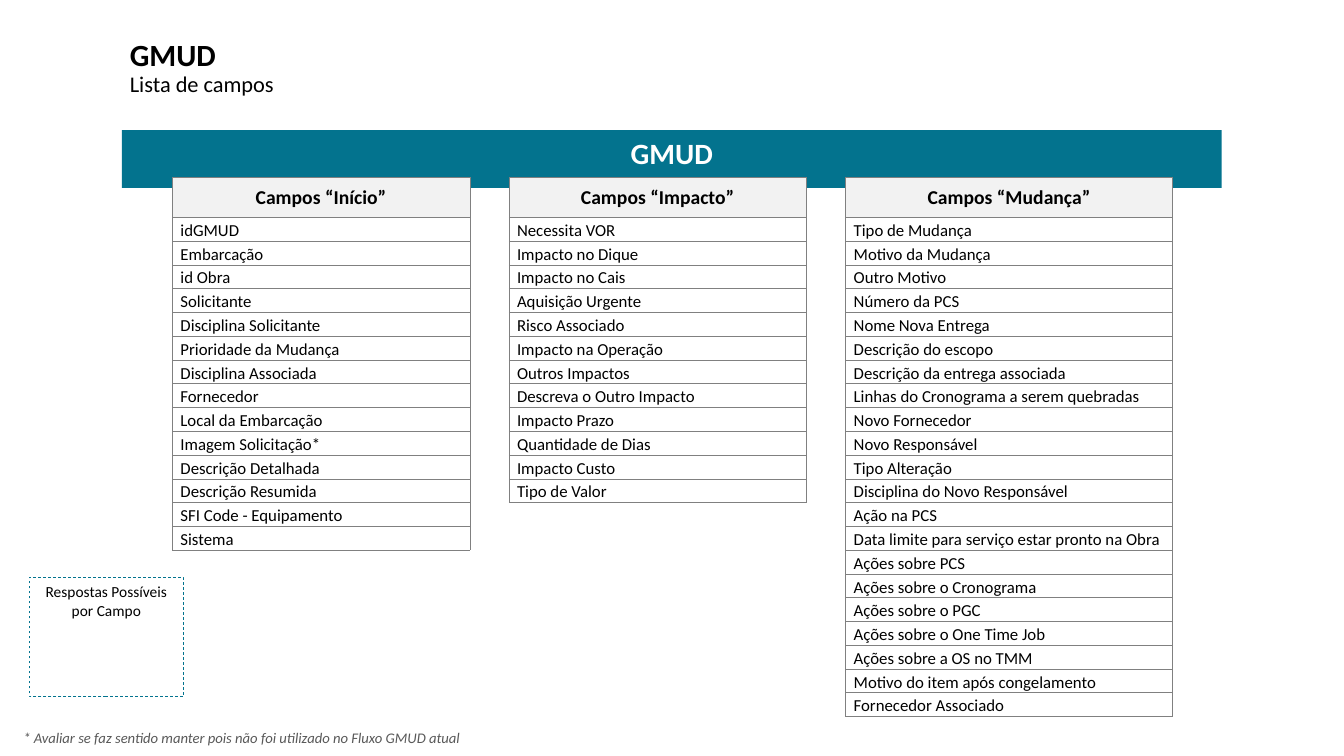
import pptx
import pptx.util
import pptx.dml.color
import pptx.enum.dml
import pptx.enum.shapes
import pptx.enum.text
import pptx.oxml

Pt = pptx.util.Pt
ALIGN = pptx.enum.text.PP_ALIGN
ANCHOR = pptx.enum.text.MSO_ANCHOR
RECT = pptx.enum.shapes.MSO_SHAPE.RECTANGLE

COLORS = {
    "teal": "03738E",
    "head": "F2F2F2",
    "rule": "808080",
    "note": "595959",
    "black": "000000",
    "white": "FFFFFF",
}
FONT = "Calibri"
HEAD_H, ROW_H = 28.35, 17
LEFT, TOP, STEP = 123.1, 126.8, 240.45

GROUPS = [
    ("Campos “Início”", 212.5, [
        "idGMUD", "Embarcação", "id Obra", "Solicitante",
        "Disciplina Solicitante", "Prioridade da Mudança",
        "Disciplina Associada", "Fornecedor", "Local da Embarcação",
        "Imagem Solicitação*", "Descrição Detalhada", "Descrição Resumida",
        "SFI Code - Equipamento", "Sistema",
    ]),
    ("Campos “Impacto”", 212.5, [
        "Necessita VOR", "Impacto no Dique", "Impacto no Cais",
        "Aquisição Urgente", "Risco Associado", "Impacto na Operação",
        "Outros Impactos", "Descreva o Outro Impacto", "Impacto Prazo",
        "Quantidade de Dias", "Impacto Custo", "Tipo de Valor",
    ]),
    ("Campos “Mudança”", 233.5, [
        "Tipo de Mudança", "Motivo da Mudança", "Outro Motivo",
        "Número da PCS", "Nome Nova Entrega", "Descrição do escopo",
        "Descrição da entrega associada",
        "Linhas do Cronograma a serem quebradas", "Novo Fornecedor",
        "Novo Responsável", "Tipo Alteração",
        "Disciplina do Novo Responsável", "Ação na PCS",
        "Data limite para serviço estar pronto na Obra", "Ações sobre PCS",
        "Ações sobre o Cronograma", "Ações sobre o PGC",
        "Ações sobre o One Time Job", "Ações sobre a OS no TMM",
        "Motivo do item após congelamento", "Fornecedor Associado",
    ]),
]


def color(name):
    return pptx.dml.color.RGBColor.from_string(COLORS[name])


def style(run, size, tone="black", bold=False, italic=False):
    font = run.font
    font.name, font.size = FONT, Pt(size)
    font.bold, font.italic = bold, italic
    font.color.rgb = color(tone)


def add_text(slide, box, text, anchor=ANCHOR.TOP):
    frame = slide.shapes.add_textbox(*map(Pt, box)).text_frame
    frame.word_wrap = True
    frame.vertical_anchor = anchor
    frame.text = text
    return frame


def add_rect(slide, box):
    shape = slide.shapes.add_shape(RECT, *map(Pt, box))
    shape.shadow.inherit = False
    return shape


def add_title(slide, box):
    frame = add_text(slide, box, "GMUD\vLista de campos", ANCHOR.MIDDLE)
    para = frame.paragraphs[0]
    para.line_spacing = 0.9
    name, topic = para.runs
    style(name, 22, bold=True)
    style(topic, 16)


def add_banner(slide, box):
    shape = add_rect(slide, box)
    shape.fill.solid()
    shape.fill.fore_color.rgb = color("teal")
    shape.line.fill.background()
    frame = shape.text_frame
    frame.vertical_anchor = ANCHOR.TOP
    frame.text = "GMUD"
    para = frame.paragraphs[0]
    para.alignment = ALIGN.CENTER
    style(para.runs[0], 21, "white", bold=True)


def add_rules(cell):
    """Draw a thin line on all four sides of the cell."""
    props = cell._tc.get_or_add_tcPr()
    for place, side in enumerate("LRTB"):
        props.insert(place, pptx.oxml.parse_xml(
            f'<a:ln{side} w="3175" xmlns:a="http://schemas.openxmlformats.org'
            f'/drawingml/2006/main"><a:solidFill><a:srgbClr '
            f'val="{COLORS["rule"]}"/></a:solidFill></a:ln{side}>'))


def fill_cell(cell, text, head):
    cell.margin_left = Pt(0.7 if head else 5.8)
    cell.margin_right = cell.margin_top = Pt(0.7)
    cell.margin_bottom = 0
    cell.vertical_anchor = ANCHOR.MIDDLE if head else ANCHOR.BOTTOM
    cell.text = text
    para = cell.text_frame.paragraphs[0]
    style(para.runs[0], 14 if head else 12, bold=head)
    if head:
        para.alignment = ALIGN.CENTER
        cell.fill.solid()
        cell.fill.fore_color.rgb = color("head")
    else:
        cell.fill.background()
    add_rules(cell)


def add_fields(slide, left, top, width, head, fields):
    high = HEAD_H + ROW_H * len(fields)
    table = slide.shapes.add_table(
        len(fields) + 1, 1, Pt(left), Pt(top), Pt(width), Pt(high)).table
    table.first_row = table.horz_banding = False
    for row, text in enumerate([head] + fields):
        table.rows[row].height = Pt(ROW_H if row else HEAD_H)
        fill_cell(table.cell(row, 0), text, row == 0)


def add_answers(slide, box):
    left, top, width, _ = box
    frame = add_text(slide, (left, top, width, 34),
                     "Respostas Possíveis por Campo")
    para = frame.paragraphs[0]
    para.alignment = ALIGN.CENTER
    style(para.runs[0], 11)
    edge = add_rect(slide, box)
    edge.fill.background()
    edge.line.color.rgb = color("teal")
    edge.line.width = Pt(0.5)
    edge.line.dash_style = pptx.enum.dml.MSO_LINE.DASH


def add_note(slide, box):
    frame = add_text(
        slide, box,
        "* Avaliar se faz sentido manter pois não foi utilizado no Fluxo GMUD atual",
        ANCHOR.BOTTOM)
    frame.margin_left = frame.margin_right = Pt(3.6)
    style(frame.paragraphs[0].runs[0], 10.5, "note", italic=True)


def main():
    deck = pptx.Presentation()
    deck.slide_width, deck.slide_height = Pt(960), Pt(540)
    slide = deck.slides.add_slide(deck.slide_layouts[6])
    add_banner(slide, (87.1, 93, 785.6, 41.3))
    add_title(slide, (85.7, 23.8, 825.8, 51))
    for place, (head, width, fields) in enumerate(GROUPS):
        add_fields(slide, LEFT + place * STEP, TOP, width, head, fields)
    add_answers(slide, (20.9, 412.4, 110.2, 85))
    add_note(slide, (13, 516.2, 786.2, 20.2))
    deck.save("out.pptx")


if __name__ == "__main__":
    main()
